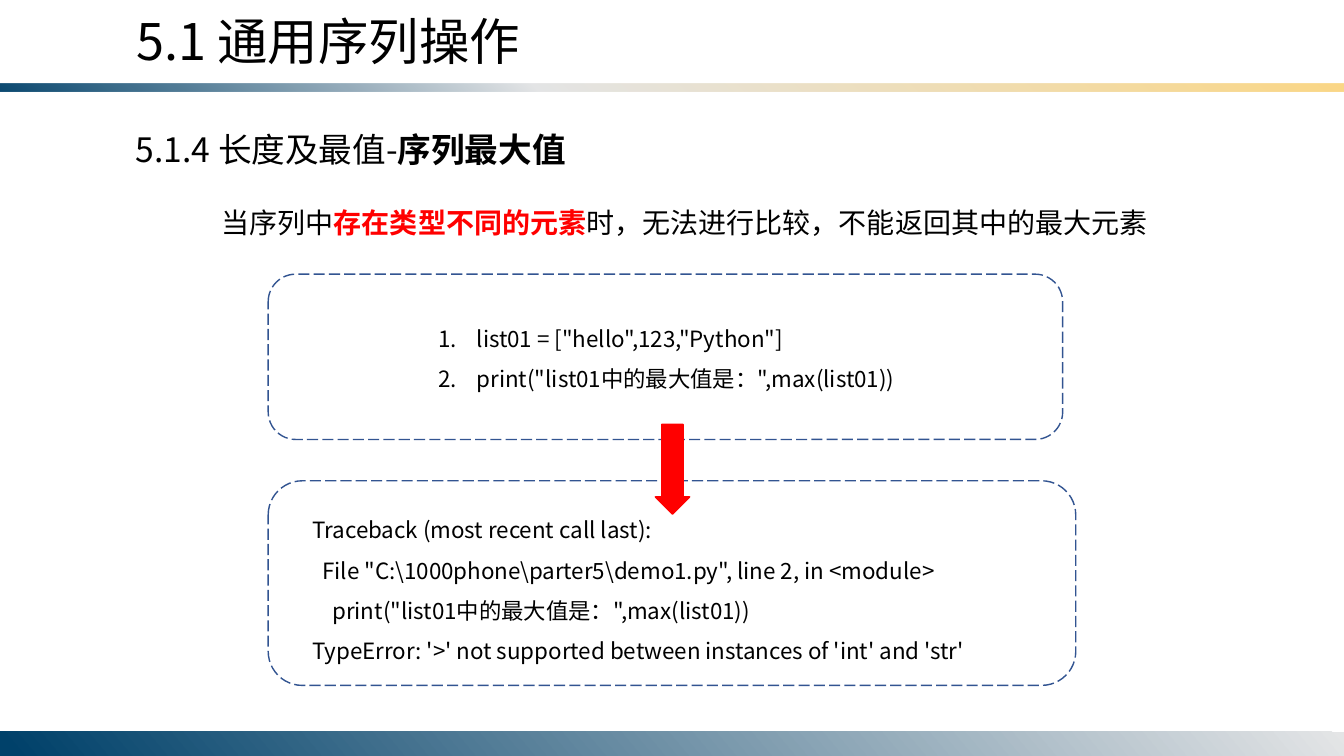
from dataclasses import dataclass, field

from lxml import etree
from pptx import Presentation
from pptx import util as u
from pptx.dml.color import RGBColor
from pptx.enum import dml, shapes, text
from pptx.oxml import parse_xml
from pptx.oxml.ns import nsdecls, qn


@dataclass(frozen=True)
class Theme:
    font: str = "Noto Sans CJK SC"
    black: str = "000000"
    red: str = "FF0000"
    outline: str = "325491"
    navy: str = "00416A"
    silver: str = "E4E5E6"
    gold: str = "FBD786"
    title: int = 36
    heading: int = 24
    body: int = 20
    code: int = 16


THEME = Theme()


@dataclass(frozen=True)
class Run:
    words: str
    fmt: dict = field(default_factory=dict)
    color: str = THEME.black


@dataclass(frozen=True)
class TextBlock:
    box: tuple[float, float, float, float]
    size: int
    paragraphs: list[list[Run]]
    spacing: float | None = None
    indent: float = 0
    numbered: bool = False


@dataclass(frozen=True)
class Band:
    box: tuple[float, float, float, float]
    stops: list[tuple[int, str, int]]  # position %, colour, opacity %
    angle: int
    flip: bool = False


def inches(box: tuple) -> list:
    return [u.Inches(v) for v in box]


def add_shape(slide, kind, box: tuple):
    sp = slide.shapes.add_shape(kind, *inches(box))
    sp.shadow.inherit = False
    return sp


def add_band(slide, band: Band) -> None:
    sp = add_shape(slide, shapes.MSO_SHAPE.RECTANGLE, band.box)
    sp.line.fill.background()
    stops = "".join(
        f'<a:gs pos="{pos * 1000}"><a:srgbClr val="{color}">'
        f'<a:alpha val="{alpha * 1000}"/></a:srgbClr></a:gs>'
        for pos, color, alpha in band.stops)
    props = sp.element.spPr
    props.find(qn("a:prstGeom")).addnext(parse_xml(
        f'<a:gradFill {nsdecls("a")} rotWithShape="1"><a:gsLst>{stops}</a:gsLst>'
        f'<a:lin ang="{band.angle * 60000}" scaled="0"/></a:gradFill>'))
    if band.flip:
        props.find(qn("a:xfrm")).set("flipV", "1")


def fill_text(sp, block: TextBlock) -> None:
    sp.left, sp.top, sp.width, sp.height = inches(block.box)
    tf = sp.text_frame
    frame_format = {"word_wrap": True, "auto_size": text.MSO_AUTO_SIZE.NONE,
                    "vertical_anchor": text.MSO_ANCHOR.TOP}
    for name, value in frame_format.items():
        setattr(tf, name, value)
    for i, runs in enumerate(block.paragraphs):
        p = tf.paragraphs[0] if i == 0 else tf.add_paragraph()
        p.alignment = text.PP_ALIGN.LEFT
        if block.spacing:
            p.line_spacing = block.spacing
        if block.indent:
            props = p._p.get_or_add_pPr()
            props.set("indent", str(u.Inches(block.indent)))
            if block.numbered:
                props.set("marL", str(u.Inches(-block.indent)))
                etree.SubElement(props, qn("a:buFont"), typeface="+mj-lt")
                etree.SubElement(props, qn("a:buAutoNum"), type="arabicPeriod")
        for run in runs:
            r = p.add_run()
            r.text = run.words
            run_format = {"name": THEME.font, "size": u.Pt(block.size), **run.fmt}
            for name, value in run_format.items():
                setattr(r.font, name, value)
            r.font.color.rgb = RGBColor.from_string(run.color)
            etree.SubElement(r._r.get_or_add_rPr(), qn("a:ea"), typeface=THEME.font)


def add_frame(slide, box: tuple) -> None:
    sp = add_shape(slide, shapes.MSO_SHAPE.ROUNDED_RECTANGLE, box)
    sp.fill.background()
    sp.line.color.rgb = RGBColor.from_string(THEME.outline)
    sp.line.width = u.Pt(1)
    sp.line.dash_style = dml.MSO_LINE.LONG_DASH


def add_arrow(slide, box: tuple) -> None:
    sp = add_shape(slide, shapes.MSO_SHAPE.DOWN_ARROW, box)
    sp.adjustments[0], sp.adjustments[1] = 0.62, 0.5
    sp.fill.solid()
    for paint in (sp.fill.fore_color, sp.line.color):
        paint.rgb = RGBColor.from_string(THEME.red)
    sp.line.width = u.Pt(1)


BOLD = {"bold": True}

BANDS = [
    Band((0, 0.83, 13.33, 0.08),
         [(0, THEME.navy, 95), (40, THEME.silver, 100), (100, THEME.gold, 100)],
         50, flip=True),
    Band((0, 7.26, 13.33, 0.24),
         [(0, THEME.silver, 100), (99, THEME.navy, 100)], 140),
]

TITLE = TextBlock((1.25, 0.05, 6.12, 0.71), THEME.title, [[Run("5.1 通用序列操作")]])

BLOCKS = [
    # Explanation
    TextBlock((1.54, 1.82, 10.63, 0.6), THEME.body, [[
        Run("当序列中"),
        Run("存在类型不同的元素", BOLD, THEME.red),
        Run("时，无法进行比较，不能返回其中的最大元素"),
    ]], spacing=1.5, indent=0.56),
    # Section heading
    TextBlock((1.25, 1.23, 4.67, 0.5), THEME.heading,
              [[Run("5.1.4 长度及最值-"), Run("序列最大值", BOLD)]]),
    # Code, wide enough to keep each statement on one line
    TextBlock((4.25, 3.04, 4.95, 0.91), THEME.code, [
        [Run('list01 = ["hello",123,"Python"]')],
        [Run('print("list01中的最大值是：",max(list01))')],
    ], spacing=1.5, indent=-0.38, numbered=True),
    # Error output
    TextBlock((3, 4.94, 7.54, 1.72), THEME.code, [
        [Run("Traceback (most recent call last):")],
        [Run('  File "C:\\1000phone\\parter5\\demo1.py", line 2, in <module>')],
        [Run('    print("list01中的最大值是：",max(list01))')],
        [Run("TypeError: '>' not supported between instances of 'int' and 'str'")],
    ], spacing=1.5),
]

FRAMES = [(2.66, 2.72, 7.88, 1.64), (2.66, 4.77, 8.01, 2.03)]


def main() -> None:
    prs = Presentation()
    prs.slide_width, prs.slide_height = u.Inches(13.33), u.Inches(7.5)
    slide = prs.slides.add_slide(prs.slide_layouts[5])

    # Bands and title
    for band in BANDS:
        add_band(slide, band)
    fill_text(slide.shapes.title, TITLE)

    # Text, frames and the arrow between them
    for block in BLOCKS:
        fill_text(slide.shapes.add_textbox(*inches(block.box)), block)
    for box in FRAMES:
        add_frame(slide, box)
    add_arrow(slide, (6.5, 4.21, 0.34, 0.89))

    prs.save("out.pptx")


if __name__ == "__main__":
    main()
